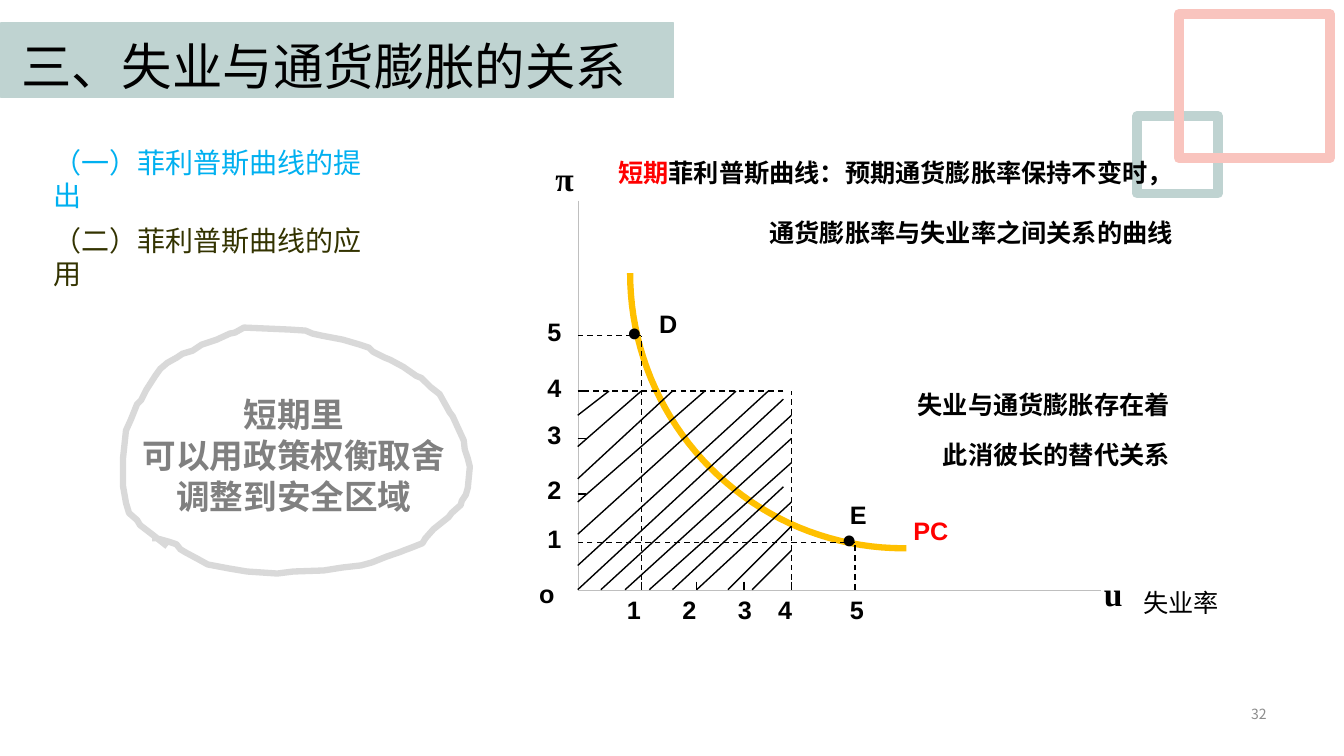
from math import cos, pi, sin

from lxml.etree import SubElement
from pptx import Presentation
from pptx.dml.color import RGBColor
from pptx.enum.dml import MSO_LINE
from pptx.enum.shapes import MSO_CONNECTOR, MSO_SHAPE
from pptx.enum.text import MSO_ANCHOR, PP_ALIGN
from pptx.oxml.ns import qn
from pptx.util import Inches, Pt

HAN = "Noto Sans CJK SC"
ORIGIN_X, ORIGIN_Y = 5.73, 5.85
UNEMPLOYMENT = [6.36, 6.91, 7.38, 7.85, 8.48]
INFLATION = [5.38, 4.9, 4.35, 3.88, 3.33]
X_LABELS = [6.12, 6.67, 7.22, 7.62, 8.33]
HATCHING = [
    (7.77, 3.96, 5.73, 5.85), (7.62, 3.88, 5.73, 5.61),
    (7.3, 3.88, 5.73, 5.3), (6.99, 3.88, 5.73, 4.98),
    (6.67, 3.88, 5.73, 4.75), (6.36, 3.88, 5.73, 4.43),
    (6.04, 3.88, 5.73, 4.12), (7.85, 4.12, 5.96, 5.85),
    (7.85, 4.35, 6.2, 5.85), (7.85, 4.59, 6.44, 5.85),
    (7.77, 4.83, 6.67, 5.85), (7.85, 4.98, 6.91, 5.85),
    (7.85, 5.22, 7.22, 5.85), (7.85, 5.46, 7.46, 5.85),
]
BUBBLE = [
    (1.66, 5.42), (1.52, 5.31), (1.39, 5.21), (1.36, 5.16), (1.28, 5.09),
    (1.25, 4.99), (1.22, 4.82), (1.22, 4.55), (1.25, 4.27), (1.3, 4.16),
    (1.36, 4.01), (1.4, 3.97), (1.45, 3.87), (1.54, 3.73), (1.59, 3.66),
    (1.66, 3.6), (1.75, 3.55), (1.81, 3.51), (1.91, 3.48), (2, 3.42),
    (2.15, 3.37), (2.28, 3.31), (2.33, 3.3), (2.42, 3.25), (2.87, 3.27),
    (3.03, 3.28), (3.1, 3.31), (3.19, 3.33), (3.4, 3.37), (3.57, 3.42),
    (3.66, 3.45), (3.7, 3.49), (3.82, 3.55), (3.87, 3.57), (4, 3.64),
    (4.13, 3.73), (4.18, 3.75), (4.27, 3.84), (4.36, 3.91), (4.46, 4.09),
    (4.49, 4.13), (4.54, 4.24), (4.6, 4.37), (4.61, 4.46), (4.64, 4.55),
    (4.66, 4.63), (4.64, 4.84), (4.62, 4.91), (4.58, 4.97), (4.57, 5.01),
    (4.48, 5.09), (4.45, 5.13), (4.3, 5.25), (4.22, 5.34), (4.19, 5.39),
    (4.09, 5.43), (4.01, 5.46), (3.96, 5.48), (3.84, 5.52), (3.69, 5.58),
    (3.58, 5.61), (3.4, 5.63), (3.21, 5.66), (2.91, 5.67), (2.75, 5.69),
    (2.45, 5.67), (2.27, 5.64), (2.06, 5.6), (1.97, 5.55), (1.84, 5.48),
    (1.79, 5.45), (1.75, 5.4), (1.66, 5.37), (1.55, 5.34), (1.51, 5.34),
]


def color(value):
    return RGBColor.from_string(value)


def write(box, paragraphs, size, font="Arial", bold=False, wrap=True,
          align=PP_ALIGN.LEFT, spacing=None, before=0, anchor=MSO_ANCHOR.TOP):
    frame = box.text_frame
    frame.word_wrap = wrap
    frame.vertical_anchor = anchor
    for index, spans in enumerate(paragraphs):
        para = frame.add_paragraph() if index else frame.paragraphs[0]
        para.alignment = align
        para.space_before = Pt(before if index else 0)
        if spacing:
            para.line_spacing = spacing
        for text, tint in spans:
            span = para.add_run()
            span.text = text
            span.font.size = Pt(size)
            span.font.bold = bold
            span.font.name = font
            span.font.color.rgb = color(tint)
            SubElement(span.font._element, qn("a:ea"), typeface=font)


def add_text(page, left, top, width, height, paragraphs, size, **style):
    box = page.shapes.add_textbox(Inches(left), Inches(top), Inches(width), Inches(height))
    write(box, paragraphs, size, **style)


def add_label(page, text, left, top, width=0.47, tint="000000", **style):
    add_text(page, left, top, width, 0.4, [[(text, tint)]], 18,
             **{"bold": True, **style})


def add_frame(page, left, top, width, height, tint, weight, filled=False):
    frame = page.shapes.add_shape(MSO_SHAPE.RECTANGLE, Inches(left), Inches(top),
                                  Inches(width), Inches(height))
    frame.shadow.inherit = False
    if filled:
        frame.fill.solid()
        frame.fill.fore_color.rgb = color(tint)
    else:
        frame.fill.background()
    frame.line.color.rgb = color(tint)
    frame.line.width = Pt(weight)


def add_line(page, x1, y1, x2, y2, tint="000000", weight=1, dashed=False):
    line = page.shapes.add_connector(MSO_CONNECTOR.STRAIGHT, Inches(x1), Inches(y1),
                                     Inches(x2), Inches(y2))
    line.line.color.rgb = color(tint)
    line.line.width = Pt(weight)
    if dashed:
        line.line.dash_style = MSO_LINE.DASH
    SubElement(line._element.spPr, qn("a:effectLst"))


def add_outline(page, points, tint):
    (x, y), *rest = [(Inches(x), Inches(y)) for x, y in points]
    builder = page.shapes.build_freeform(x, y)
    builder.add_line_segments(rest, close=False)
    outline = builder.convert_to_shape()
    outline.shadow.inherit = False
    outline.fill.background()
    outline.line.color.rgb = color(tint)
    outline.line.width = Pt(4.5)


def add_title(page):
    add_frame(page, 0.01, 0.23, 6.67, 0.74, "BFD3D1", 1, filled=True)
    title = page.shapes.title
    title.left, title.top = Inches(0.11), Inches(0.3)
    title.width, title.height = Inches(6.47), Inches(0.71)
    write(title, [[("三、失业与通货膨胀的关系", "000000")]], 36, font=HAN, spacing=Pt(43))
    page.shapes.element.append(title.element)


def add_phillips_curve(page):
    steps = 40
    angles = [pi / 2 * step / steps for step in range(steps + 1)]
    curve = [(8.96 - 2.71 * cos(angle), 2.71 + 2.73 * sin(angle)) for angle in angles]
    add_outline(page, curve + [(8.99, 5.44)], "FFC000")


def add_axes(page):
    add_line(page, ORIGIN_X, 1.99, ORIGIN_X, ORIGIN_Y, "BFBFBF", 0.25)
    add_line(page, ORIGIN_X, ORIGIN_Y, 10.92, ORIGIN_Y, "BFBFBF", 0.25)
    for x in UNEMPLOYMENT[:4]:
        add_line(page, x, ORIGIN_Y - 0.08, x, ORIGIN_Y)
    for y in INFLATION[1:4]:
        add_line(page, ORIGIN_X, y, ORIGIN_X + 0.08, y)
    for x, y, reach in [(8.48, 5.38, 8.48), (6.36, 3.33, 6.36), (7.85, 3.88, 7.77)]:
        add_line(page, x, ORIGIN_Y, x, y, dashed=True)
        add_line(page, reach, y, ORIGIN_X, y, dashed=True)
    for stripe in HATCHING:
        add_line(page, *stripe)
    for number, (left, y) in enumerate(zip(X_LABELS, INFLATION), 1):
        add_label(page, str(number), 5.33, y - 0.24)
        add_label(page, str(number), left, ORIGIN_Y)
    for symbol, left, top in [("π", 5.41, 1.52), ("u", 10.85, 5.63)]:
        add_text(page, left, top, 0.75, 0.5, [[(symbol, "000000")]], 24,
                 font="Times New Roman", bold=True)
    add_label(page, "o", 5.25, 5.69)
    add_label(page, "失业率", 11.24, 5.78, 0.95, bold=False, wrap=False)


def main():
    deck = Presentation()
    deck.slide_width, deck.slide_height = Inches(13.33), Inches(7.5)
    page = deck.slides.add_slide(deck.slide_layouts[5])
    add_title(page)
    add_text(page, 9.71, 6.91, 2.95, 0.35, [[("32", "8C8C8C")]], 10, font=HAN,
             align=PP_ALIGN.RIGHT, anchor=MSO_ANCHOR.MIDDLE)
    for text, top, tint in [("（一）菲利普斯曲线的提出", 1.4, "00B0F0"),
                            ("（二）菲利普斯曲线的应用", 2.18, "333300")]:
        add_text(page, 0.43, top, 3.5, 0.44, [[(text, tint)]], 20, font=HAN,
                 spacing=Pt(23.5))
    add_frame(page, 11.28, 1.15, 0.8, 0.77, "BFD3D1", 7)
    add_frame(page, 11.69, 0.14, 1.5, 1.43, "F9C4BE", 7)
    add_phillips_curve(page)
    add_axes(page)
    add_label(page, "PC", 8.96, 5.06, 0.71, tint="FF0000")
    for text, left, top in [("●", 6.12, 3.09), ("D", 6.44, 3.01),
                            ("●", 8.25, 5.14), ("E", 8.33, 4.9)]:
        add_label(page, text, left, top, 0.37, wrap=False)
    add_text(page, 8.56, 3.66, 3.14, 1.01,
             [[("失业与通货膨胀存在着", "000000")], [("此消彼长的替代关系", "000000")]],
             18, bold=True, align=PP_ALIGN.RIGHT, spacing=1.5, before=3.6)
    add_text(page, 5.89, 1.21, 5.84, 1.22,
             [[("短期", "FF0000"), ("菲利普斯曲线：预期通货膨胀率保持不变时，", "000000")],
              [("通货膨胀率与失业率之间关系的曲线", "000000")]],
             18, bold=True, align=PP_ALIGN.RIGHT, spacing=2.0)
    policy = ["短期里", "可以用政策权衡取舍", "调整到安全区域"]
    add_text(page, 1.05, 3.86, 3.73, 1.31, [[(line, "808080")] for line in policy], 24,
             font=HAN, bold=True, align=PP_ALIGN.CENTER, spacing=Pt(29))
    add_outline(page, BUBBLE, "D9D9D9")
    deck.save("out.pptx")


if __name__ == "__main__":
    main()
